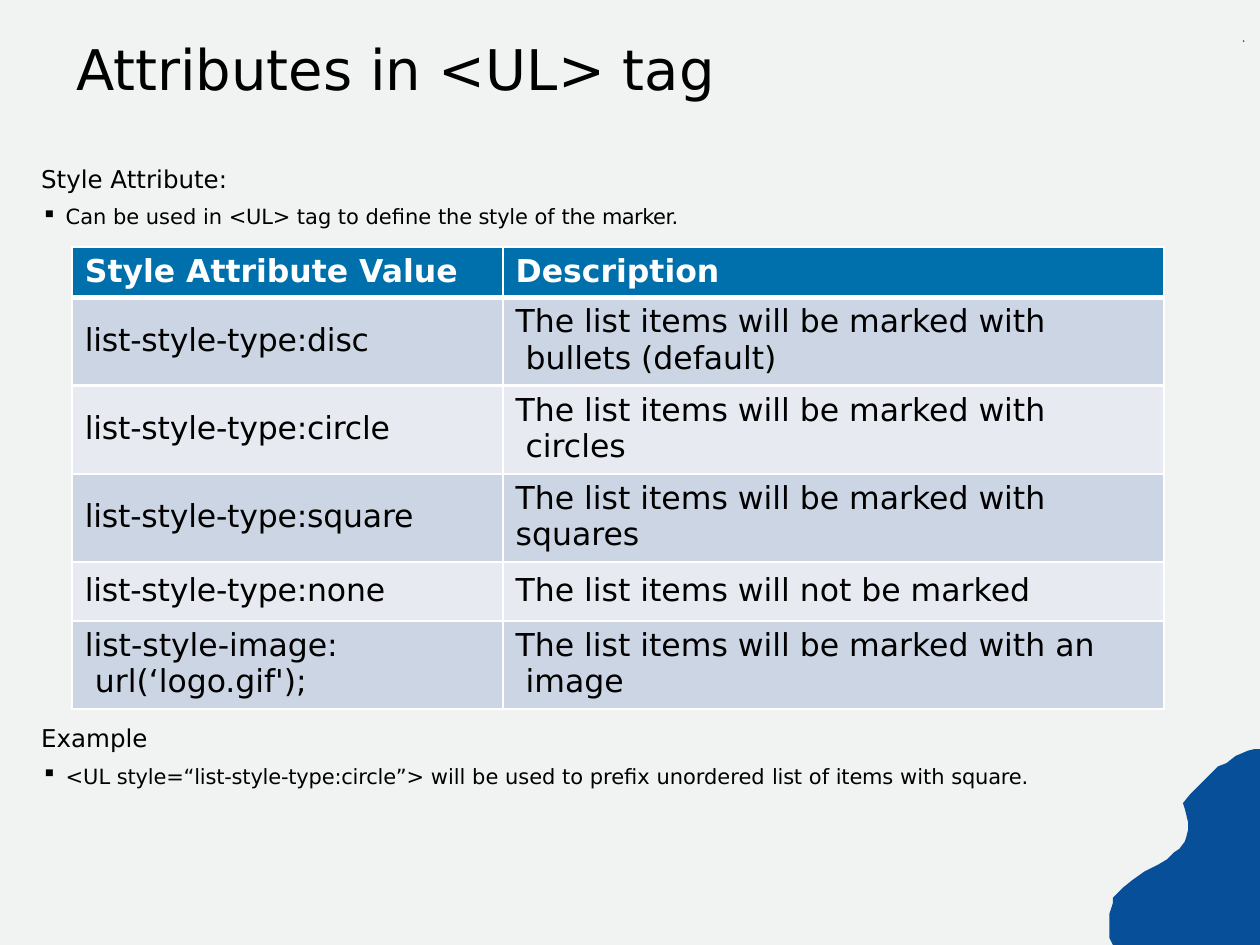
from lxml import etree
from pptx import Presentation, util as u
from pptx.dml.color import RGBColor
from pptx.enum import text
from pptx.oxml.ns import qn

COLORS = {
    "paper": "F1F2F2", "ink": "000000", "white": "FFFFFF", "header": "0070AD",
    "band_dark": "CBD5E3", "band_light": "E7EBF1", "wave": "084F99",
}

# Each cell is a list of lines
HEADER = [["Style Attribute Value"], ["Description"]]
MARKERS = [
    [["list-style-type:disc"], ["The list items will be marked with", " bullets (default)"]],
    [["list-style-type:circle"], ["The list items will be marked with", " circles"]],
    [["list-style-type:square"], ["The list items will be marked with", "squares"]],
    [["list-style-type:none"], ["The list items will not be marked"]],
    [["list-style-image:", " url(‘logo.gif');"],
     ["The list items will be marked with an", " image"]],
]
COLUMN_WIDTHS = [246.2, 377.6]
ROW_HEIGHTS = [28.8, 50.4, 50.4, 50.4, 33.7, 50.4]

# Spans of bullet text: (words, letter spacing)
STYLE_SPANS = [
    ("Can be used in", 0), (" <UL> ", -0.1), ("tag to deﬁne ", 0), ("the style ", -0.1),
    ("of ", 0), ("the ", -0.1), ("marker.", -0.3),
]
EXAMPLE_SPANS = [
    ("<UL ", 0), ("style=“list-style-type:circle”> ", -0.1),
    ("will be used to preﬁx unordered ", 0), ("list", -0.1), (" of ", 0),
    ("items", -0.1), (" with ", 0), ("square.", -0.1),
]

WAVE_EDGE = [
    (719.3, 427.7), (717.1, 427.7), (712.8, 429.1), (705.6, 432), (700.6, 435.6),
    (696.2, 438.5), (691.9, 442.1), (680.4, 454.3), (676.1, 459.4), (676.8, 461.5),
    (678.2, 465.8), (679, 470.2), (679, 474.5), (678.2, 478.1), (676.8, 481),
    (673.9, 484.6), (671, 487.4), (666.7, 491), (662.4, 493.9), (654.5, 498.2),
    (646.6, 502.6), (641.5, 506.9), (639.4, 509.8), (636.5, 513.4), (635.8, 516.2),
    (633.6, 522), (633.6, 531.4), (634.3, 535.7), (635.8, 540), (720, 540), (720, 428.4),
]


class SlideWriter:
    def __init__(self, slide, font="DejaVu Sans"):
        self.slide = slide
        self.font = font

    def color(self, name):
        return RGBColor.from_string(COLORS[name])

    def background(self, name):
        fill = self.slide.background.fill
        fill.solid()
        fill.fore_color.rgb = self.color(name)

    def span(self, para, words, size, color="ink", bold=False, spacing=0, font=None):
        span = para.add_run()
        span.text = words
        span.font.name = font or self.font
        span.font.size = u.Pt(size)
        span.font.bold = bold
        span.font.color.rgb = self.color(color)
        if spacing:
            span.font._element.set("spc", str(round(spacing * 100)))

    def indent(self, para, left, first=0, bullet=None):
        props = para._p.get_or_add_pPr()
        props.set("marL", str(u.Pt(left)))
        props.set("indent", str(u.Pt(first)))
        if bullet:
            etree.SubElement(props, qn("a:buChar")).set("char", bullet)

    def textbox(self, left, top, width, height, inset):
        box = self.slide.shapes.add_textbox(*map(u.Pt, (left, top, width, height)))
        frame = box.text_frame
        frame.word_wrap = True
        frame.margin_left = frame.margin_right = frame.margin_bottom = 0
        frame.margin_top = u.Pt(inset)
        return frame

    def line(self, left, top, width, height, inset, words, size, **style):
        para = self.textbox(left, top, width, height, inset).paragraphs[0]
        self.indent(para, 1)
        self.span(para, words, size, **style)

    def section(self, top, width, heading, spans):
        frame = self.textbox(22.5, top, width, 46, 8)
        para = frame.paragraphs[0]
        self.indent(para, 1)
        self.span(para, heading, 14)
        para = frame.add_paragraph()
        para.space_before = u.Pt(6)
        self.indent(para, 15, -13.7, "▪")
        for words, spacing in spans:
            self.span(para, words, 12, spacing=spacing)

    def borders(self, cell, **widths):
        props = cell._tc.get_or_add_tcPr()
        for side in "LRTB":
            edge = etree.SubElement(props, qn(f"a:ln{side}"))
            edge.set("w", str(u.Pt(widths.get(side, 1.5))))
            fill = etree.SubElement(edge, qn("a:solidFill"))
            etree.SubElement(fill, qn("a:srgbClr")).set("val", COLORS["white"])

    def cell(self, cell, lines, fill, inset, heading, **widths):
        self.borders(cell, **widths)
        cell.fill.solid()
        cell.fill.fore_color.rgb = self.color(fill)
        cell.margin_left = cell.margin_right = cell.margin_bottom = 0
        cell.margin_top = u.Pt(inset)
        cell.vertical_anchor = text.MSO_ANCHOR.TOP
        para = cell.text_frame.paragraphs[0]
        self.indent(para, 7.2)
        spacing = -0.1 if lines[0].startswith("list-style-type") else 0
        for number, words in enumerate(lines):
            if number:
                para.add_line_break()
            self.span(para, words, 18, "white" if heading else "ink", heading, spacing)

    def table(self, left, top, rows, widths, heights):
        frame = self.slide.shapes.add_table(
            len(rows), len(widths), *map(u.Pt, (left, top, sum(widths), sum(heights))))
        table = frame.table
        table.horz_banding = False
        for column, width in zip(table.columns, widths):
            column.width = u.Pt(width)
        for r, (cells, height) in enumerate(zip(rows, heights)):
            table.rows[r].height = u.Pt(height)
            fill = "header" if r == 0 else ("band_light", "band_dark")[r % 2]
            edges = {0: {"B": 3}, 1: {"T": 3}}.get(r, {})
            tallest = max(map(len, cells))
            for c, lines in enumerate(cells):
                # Short cells sit midway beside two-line neighbours
                inset = 14.2 if len(lines) < tallest else 6 if r == 4 else 3.6
                self.cell(table.cell(r, c), lines, fill, inset, r == 0, **edges)

    def outline(self, points, fill):
        builder = self.slide.shapes.build_freeform(*points[0], scale=u.Pt(1))
        builder.add_line_segments(points[1:], close=True)
        shape = builder.convert_to_shape()
        shape.shadow.inherit = False
        shape.fill.solid()
        shape.fill.fore_color.rgb = self.color(fill)
        shape.line.fill.background()


def main():
    deck = Presentation()
    deck.slide_width, deck.slide_height = u.Pt(720), u.Pt(540)
    page = SlideWriter(deck.slides.add_slide(deck.slide_layouts[6]))
    page.background("paper")

    # Style attribute and example notes
    page.section(85.7, 372, "Style Attribute:", STYLE_SPANS)
    page.section(405.2, 575, "Example", EXAMPLE_SPANS)

    # Title
    page.line(42.5, 18.7, 369, 40, 1, "Attributes in <UL> tag", 32)

    # Marker table
    page.table(41.3, 141.1, [HEADER] + MARKERS, COLUMN_WIDTHS, ROW_HEIGHTS)

    # Corner wave and tiny mark
    page.outline(WAVE_EDGE, "wave")
    page.line(709.2, 21.6, 3.6, 4.3, 1.3, "R", 1.5, bold=True, spacing=0.2, font="Cambria")

    deck.save("out.pptx")


if __name__ == "__main__":
    main()
